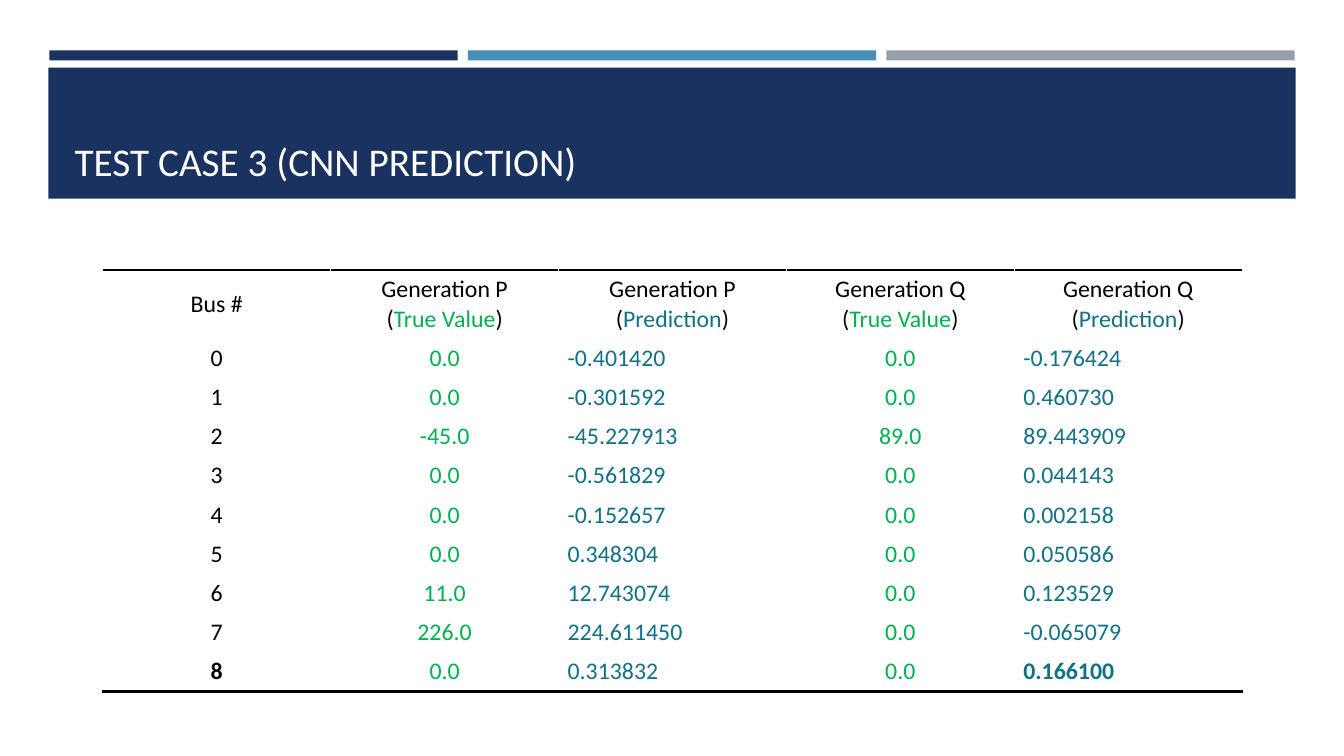
from lxml.etree import SubElement
from pptx import Presentation
from pptx.dml.color import RGBColor
from pptx.enum.shapes import MSO_SHAPE
from pptx.enum.text import MSO_ANCHOR, PP_ALIGN
from pptx.oxml import parse_xml
from pptx.oxml.ns import nsdecls, qn
from pptx.util import Inches, Pt

COLORS = {
    "navy": "1A3260", "blue": "4590B8", "gray": "969FA7", "white": "FFFFFF",
    "black": "000000", "true": "00B050", "prediction": "117186",
}

# One list of (text, color) runs per header paragraph
HEADERS = [[[("Bus #", "black")]]]
for quantity in ("Generation P", "Generation Q"):
    HEADERS.append([[(quantity, "black")],
                    [("(", "black"), ("True Value", "true"), (")", "black")]])
    HEADERS.append([[(quantity + " (", "black"), ("Prediction", "prediction"),
                     (")", "black")]])

# Bus, true P, predicted P, true Q, predicted Q
BUSES = [
    ("0", "0.0", "-0.401420", "0.0", "-0.176424"),
    ("1", "0.0", "-0.301592", "0.0", "0.460730"),
    ("2", "-45.0", "-45.227913", "89.0", "89.443909"),
    ("3", "0.0", "-0.561829", "0.0", "0.044143"),
    ("4", "0.0", "-0.152657", "0.0", "0.002158"),
    ("5", "0.0", "0.348304", "0.0", "0.050586"),
    ("6", "11.0", "12.743074", "0.0", "0.123529"),
    ("7", "226.0", "224.611450", "0.0", "-0.065079"),
    ("8", "0.0", "0.313832", "0.0", "0.166100"),
]
COLUMN_COLORS = ["black", "true", "prediction", "true", "prediction"]


class SlideBuilder:
    font = "Calibri"
    title_size = 28
    table_size = 17

    def __init__(self, slide):
        self.slide = slide

    def style(self, font, size, color, bold=False):
        font.name = self.font
        font.size = Pt(size)
        font.bold = bold
        font.color.rgb = RGBColor.from_string(COLORS[color])

    def bar(self, left, top, width, height, color):
        bar = self.slide.shapes.add_shape(
            MSO_SHAPE.RECTANGLE, Inches(left), Inches(top),
            Inches(width), Inches(height))
        bar.shadow.inherit = False
        bar.fill.solid()
        bar.fill.fore_color.rgb = RGBColor.from_string(COLORS[color])
        bar.line.fill.background()

    def title(self, text, left, top, width, height):
        title = self.slide.shapes.title
        title.left, title.top = Inches(left), Inches(top)
        title.width, title.height = Inches(width), Inches(height)
        frame = title.text_frame
        frame.text = text
        frame.word_wrap = True
        frame.vertical_anchor = MSO_ANCHOR.BOTTOM
        frame.paragraphs[0].alignment = PP_ALIGN.LEFT
        self.style(frame.paragraphs[0].runs[0].font, self.title_size, "white")
        # Bring the title in front of its band
        title._element.getparent().append(title._element)

    def table(self, left, top, column_width, header_height, row_height):
        rows, columns = len(BUSES) + 1, len(HEADERS)
        table = self.slide.shapes.add_table(
            rows, columns, Inches(left), Inches(top),
            Inches(column_width * columns),
            Inches(header_height + row_height * len(BUSES))).table
        table.first_row = table.horz_banding = False
        for row in table.rows:
            row.height = Inches(row_height)
        table.rows[0].height = Inches(header_height)

        for column, header in enumerate(HEADERS):
            table.columns[column].width = Inches(column_width)
            self.cell(table.cell(0, column), header, PP_ALIGN.CENTER)
            self.rule(table.cell(0, column), "lnT")

        for number, bus in enumerate(BUSES, 1):
            for column, value in enumerate(bus):
                color = COLUMN_COLORS[column]
                align = PP_ALIGN.LEFT if color == "prediction" else PP_ALIGN.CENTER
                # The two outer corners of the last row are bold
                bold = number == len(BUSES) and column in (0, columns - 1)
                self.cell(table.cell(number, column), [[(value, color)]], align, bold)
        for column in range(columns):
            self.rule(table.cell(rows - 1, column), "lnB")

    def cell(self, cell, paragraphs, align, bold=False):
        cell.fill.solid()
        cell.fill.fore_color.rgb = RGBColor.from_string(COLORS["white"])
        cell.vertical_anchor = MSO_ANCHOR.MIDDLE
        cell.margin_left = cell.margin_right = Inches(0.09)
        cell.margin_top = cell.margin_bottom = Inches(0.05)
        for index, parts in enumerate(paragraphs):
            frame = cell.text_frame
            paragraph = frame.add_paragraph() if index else frame.paragraphs[0]
            paragraph.alignment = align
            for text, color in parts:
                run = paragraph.add_run()
                run.text = text
                self.style(run.font, self.table_size, color, bold)

    def rule(self, cell, side):
        line = parse_xml(f'<a:{side} {nsdecls("a")} w="{Pt(2)}"/>')
        fill = SubElement(line, qn("a:solidFill"))
        SubElement(fill, qn("a:srgbClr"), val=COLORS["black"])
        cell._tc.get_or_add_tcPr().insert(0, line)


def main():
    deck = Presentation()
    deck.slide_width, deck.slide_height = Inches(13.33), Inches(7.5)
    builder = SlideBuilder(deck.slides.add_slide(deck.slide_layouts[5]))

    # Accent strips above the title band
    for index, color in enumerate(("navy", "blue", "gray")):
        builder.bar(0.49 + 4.15 * index, 0.5, 4.05, 0.1, color)

    # Title band
    builder.bar(0.48, 0.67, 12.37, 1.3, "navy")
    builder.title("TEST CASE 3 (CNN PREDICTION)", 0.64, 0.77, 12.06, 1.11)

    # True and predicted generation per bus
    builder.table(1.02, 2.68, 2.26, 0.67, 0.38)

    deck.save("out.pptx")


if __name__ == "__main__":
    main()
